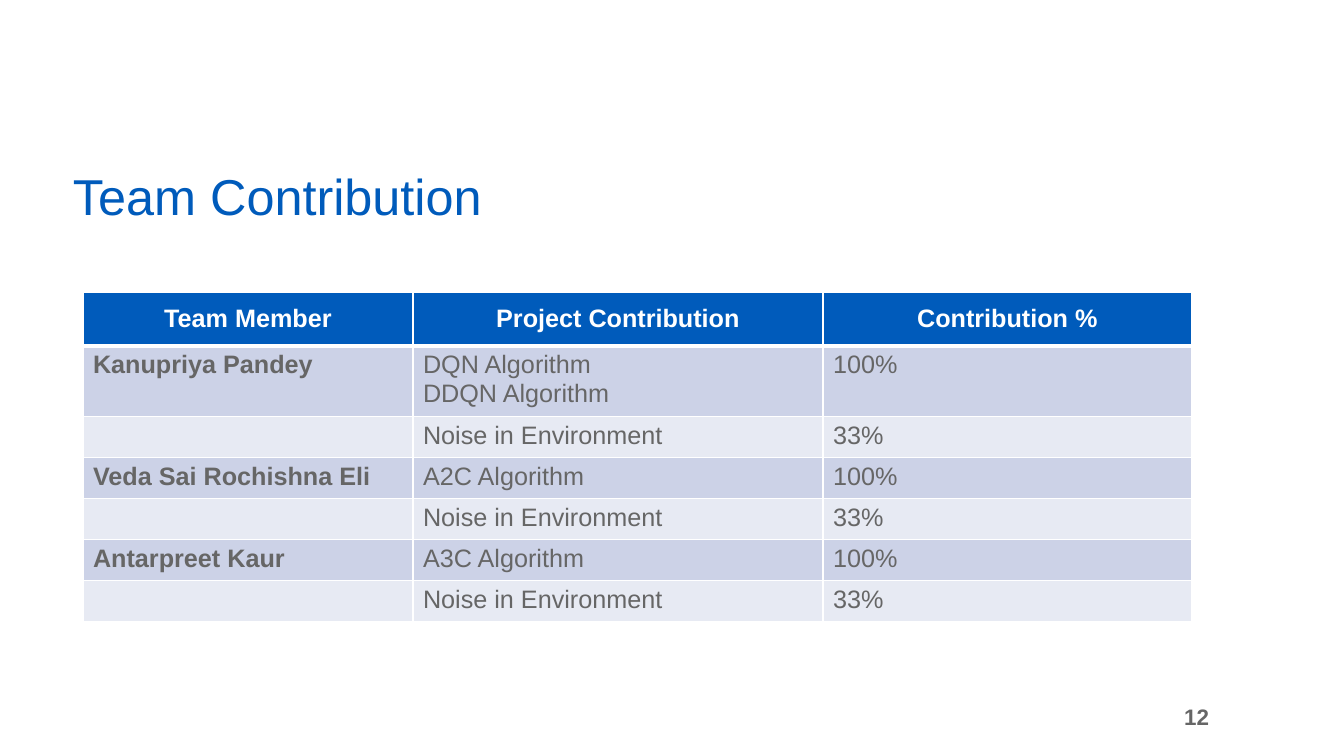
from lxml.etree import SubElement
from pptx import Presentation
from pptx.dml.color import RGBColor
from pptx.enum.text import MSO_ANCHOR, PP_ALIGN
from pptx.oxml.ns import qn
from pptx.util import Pt

PX = 914400 / 100.8
BLUE, GRAY, WHITE = "005BBB", "666666", "FFFFFF"
BANDS = ["CCD2E7", "E7EAF3"]


def color(hex_string):
    return RGBColor.from_string(hex_string)


def write(frame, text, size=18, ink=GRAY, bold=False, align=PP_ALIGN.LEFT, spacing=None):
    frame.word_wrap = True
    frame.text = text
    for paragraph in frame.paragraphs:
        paragraph.alignment = align
        paragraph.line_spacing = spacing
        font = paragraph.font
        for run in paragraph.runs:
            font = run.font
            font.name, font.size, font.bold = "Arial", Pt(size), bold
            font.color.rgb = color(ink)


deck = Presentation()
deck.slide_width, deck.slide_height = round(1344 * PX), round(756 * PX)
slide = deck.slides.add_slide(deck.slide_layouts[6])

# Page number and title
page_number = slide.shapes.add_textbox(*[round(v * PX) for v in (765, 697, 454, 40)])
page_number.text_frame.vertical_anchor = MSO_ANCHOR.MIDDLE
write(page_number.text_frame, "12", size=16, bold=True, align=PP_ALIGN.RIGHT)

title = slide.shapes.add_textbox(*[round(v * PX) for v in (63, 165, 1159, 66)])
title.text_frame.vertical_anchor = MSO_ANCHOR.BOTTOM
write(title.text_frame, "Team Contribution", size=36, ink=BLUE, spacing=0.9)

# Contribution table
rows = [
    ("Team Member", "Project Contribution", "Contribution %"),
    ("Kanupriya Pandey", "DQN Algorithm\nDDQN Algorithm", "100%"),
    ("", "Noise in Environment", "33%"),
    ("Veda Sai Rochishna Eli", "A2C Algorithm", "100%"),
    ("", "Noise in Environment", "33%"),
    ("Antarpreet Kaur", "A3C Algorithm", "100%"),
    ("", "Noise in Environment", "33%"),
]
column_widths = [330, 410, 369]
row_heights = [54] + [41] * 6
contributions = slide.shapes.add_table(
    len(rows), len(column_widths), round(83 * PX), round(292 * PX),
    round(sum(column_widths) * PX), round(sum(row_heights) * PX)).table
for column, width in zip(contributions.columns, column_widths):
    column.width = round(width * PX)
for row, height in zip(contributions.rows, row_heights):
    row.height = round(height * PX)

for r, entries in enumerate(rows):
    header = r == 0
    for c, entry in enumerate(entries):
        cell = contributions.cell(r, c)
        if header:
            cell.vertical_anchor = MSO_ANCHOR.MIDDLE
            write(cell.text_frame, entry, ink=WHITE, bold=True, align=PP_ALIGN.CENTER)
        else:
            write(cell.text_frame, entry, bold=c == 0)

        # White rules, thicker below the header
        properties = cell._tc.get_or_add_tcPr()
        for side in ("lnL", "lnR", "lnT", "lnB"):
            thick = (r, side) in [(0, "lnB"), (1, "lnT")]
            rule = SubElement(properties, qn(f"a:{side}"), w=str(Pt(3 if thick else 1)))
            SubElement(SubElement(rule, qn("a:solidFill")), qn("a:srgbClr"), val=WHITE)
        cell.fill.solid()
        cell.fill.fore_color.rgb = color(BLUE if header else BANDS[(r - 1) % 2])

deck.save("out.pptx")
